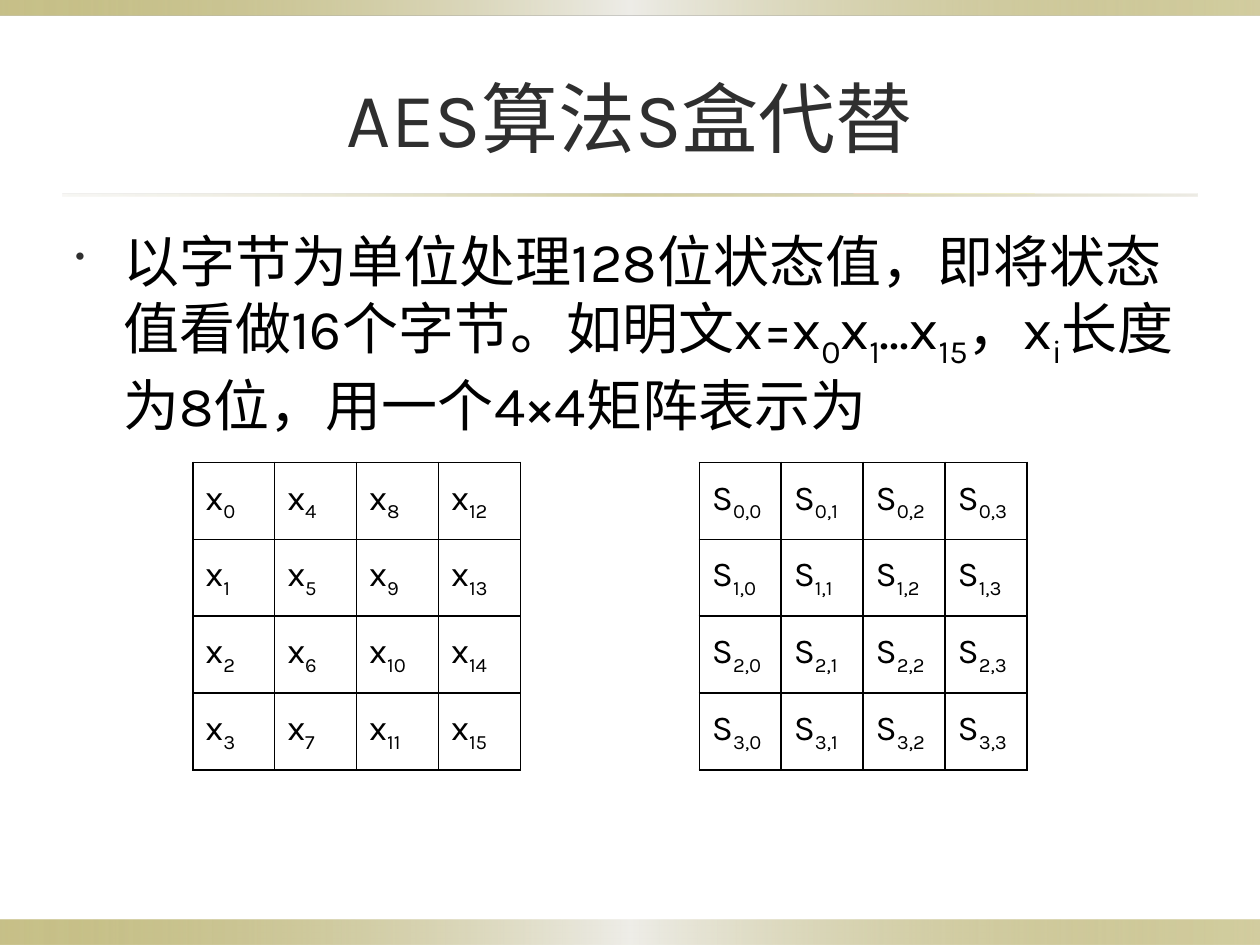
from pptx import Presentation
from pptx.dml.color import RGBColor
from pptx.enum.shapes import MSO_SHAPE
from pptx.enum.text import MSO_ANCHOR, PP_ALIGN
from pptx.oxml import parse_xml
from pptx.oxml.ns import nsdecls, qn
from pptx.util import Inches, Pt

FONT = "Karla"
BLACK = RGBColor(0x00, 0x00, 0x00)
CHARCOAL = RGBColor(0x2F, 0x2F, 0x2F)
OLIVE = RGBColor(0x91, 0x84, 0x15)
PALE = RGBColor(0xEE, 0xED, 0xE8)
SAND = RGBColor(0xDC, 0xD9, 0xCC)

TITLE = "AES算法S盒代替"
# Pairs of normal text and the subscript that follows it
BODY = [
    ("以字节为单位处理128位状态值，即将状态值看做16个字节。如明文x=x", "0"),
    ("x", "1"),
    ("...x", "15"),
    ("，x", "i"),
    ("长度为8位，用一个4×4矩阵表示为", ""),
]

SIZE = 4
PLAINTEXT = [[("x", str(row + SIZE * col)) for col in range(SIZE)] for row in range(SIZE)]
STATE = [[("S", f"{row},{col}") for col in range(SIZE)] for row in range(SIZE)]
MATRICES = [(1.53, PLAINTEXT), (5.55, STATE)]
MATRIX_TOP, COLUMN_WIDTH, ROW_HEIGHT = 3.67, 0.65, 0.61

# Gradient stops: position %, colour, opacity %
BAND = [(0, OLIVE, 50), (50, PALE, 100), (100, OLIVE, 40)]
RULE = [(0, SAND, 20), (50, OLIVE, 40), (100, SAND, 50)]
BARS = [
    ((0, 7.3, 10, 0.2), BAND),
    ((0, 0, 10, 0.12), BAND),
    ((0.5, 1.54, 9, 0.02), RULE),
]


def add_bar(slide, box, stops):
    bar = slide.shapes.add_shape(MSO_SHAPE.RECTANGLE, *map(Inches, box))
    bar.shadow.inherit = False
    bar.line.fill.background()
    bar.fill.gradient()
    bar.fill.gradient_angle = 0
    stop_list = bar._element.spPr.find(".//" + qn("a:gsLst"))
    for default_stop in list(stop_list):
        stop_list.remove(default_stop)
    for position, color, opacity in stops:
        stop_list.append(parse_xml(
            f'<a:gs {nsdecls("a")} pos="{position * 1000}"><a:srgbClr val="{color}">'
            f'<a:alpha val="{opacity * 1000}"/></a:srgbClr></a:gs>'))


def set_font(paragraph, size, color):
    paragraph.font.name = FONT
    paragraph.font.size = Pt(size)
    paragraph.font.color.rgb = color


def add_subscripted(paragraph, pairs):
    for text, subscript in pairs:
        paragraph.add_run().text = text
        if subscript:
            run = paragraph.add_run()
            run.text = subscript
            run._r.get_or_add_rPr().set("baseline", "-25000")


def add_text_frame(slide, box, anchor):
    frame = slide.shapes.add_textbox(*map(Inches, box)).text_frame
    frame.word_wrap = True
    frame.vertical_anchor = anchor
    return frame


def add_bullet(paragraph):
    properties = paragraph._p.get_or_add_pPr()
    properties.set("marL", str(Inches(0.38)))
    properties.set("indent", str(Inches(-0.38)))
    for bullet_part in (
        f'<a:buClr {nsdecls("a")}><a:srgbClr val="{CHARCOAL}"/></a:buClr>',
        f'<a:buSzPct {nsdecls("a")} val="50000"/>',
        f'<a:buChar {nsdecls("a")} char="•"/>',
    ):
        properties.append(parse_xml(bullet_part))


def set_borders(cell):
    properties = cell._tc.get_or_add_tcPr()
    for index, side in enumerate(("lnL", "lnR", "lnT", "lnB")):
        properties.insert(index, parse_xml(
            f'<a:{side} {nsdecls("a")} w="{Pt(1)}"><a:solidFill>'
            f'<a:srgbClr val="{BLACK}"/></a:solidFill></a:{side}>'))


def add_matrix(slide, left, entries):
    table = slide.shapes.add_table(
        SIZE, SIZE, Inches(left), Inches(MATRIX_TOP),
        Inches(SIZE * COLUMN_WIDTH), Inches(SIZE * ROW_HEIGHT)).table
    table.first_row = False
    table.horz_banding = False
    for row, row_entries in enumerate(entries):
        for col, entry in enumerate(row_entries):
            cell = table.cell(row, col)
            cell.vertical_anchor = MSO_ANCHOR.MIDDLE
            cell.fill.background()
            set_borders(cell)
            paragraph = cell.text_frame.paragraphs[0]
            add_subscripted(paragraph, [entry])
            set_font(paragraph, 20, BLACK)


def main():
    presentation = Presentation()
    presentation.slide_width = Inches(10)
    presentation.slide_height = Inches(7.5)
    slide = presentation.slides.add_slide(presentation.slide_layouts[6])

    for box, stops in BARS:
        add_bar(slide, box, stops)

    title = add_text_frame(slide, (0.5, 0.3, 9, 1.25), MSO_ANCHOR.MIDDLE).paragraphs[0]
    title.text = TITLE
    title.alignment = PP_ALIGN.CENTER
    set_font(title, 44, CHARCOAL)

    body = add_text_frame(slide, (0.5, 1.75, 9, 4.91), MSO_ANCHOR.TOP).paragraphs[0]
    add_bullet(body)
    add_subscripted(body, BODY)
    set_font(body, 32, BLACK)

    for left, entries in MATRICES:
        add_matrix(slide, left, entries)

    presentation.save("out.pptx")


if __name__ == "__main__":
    main()
